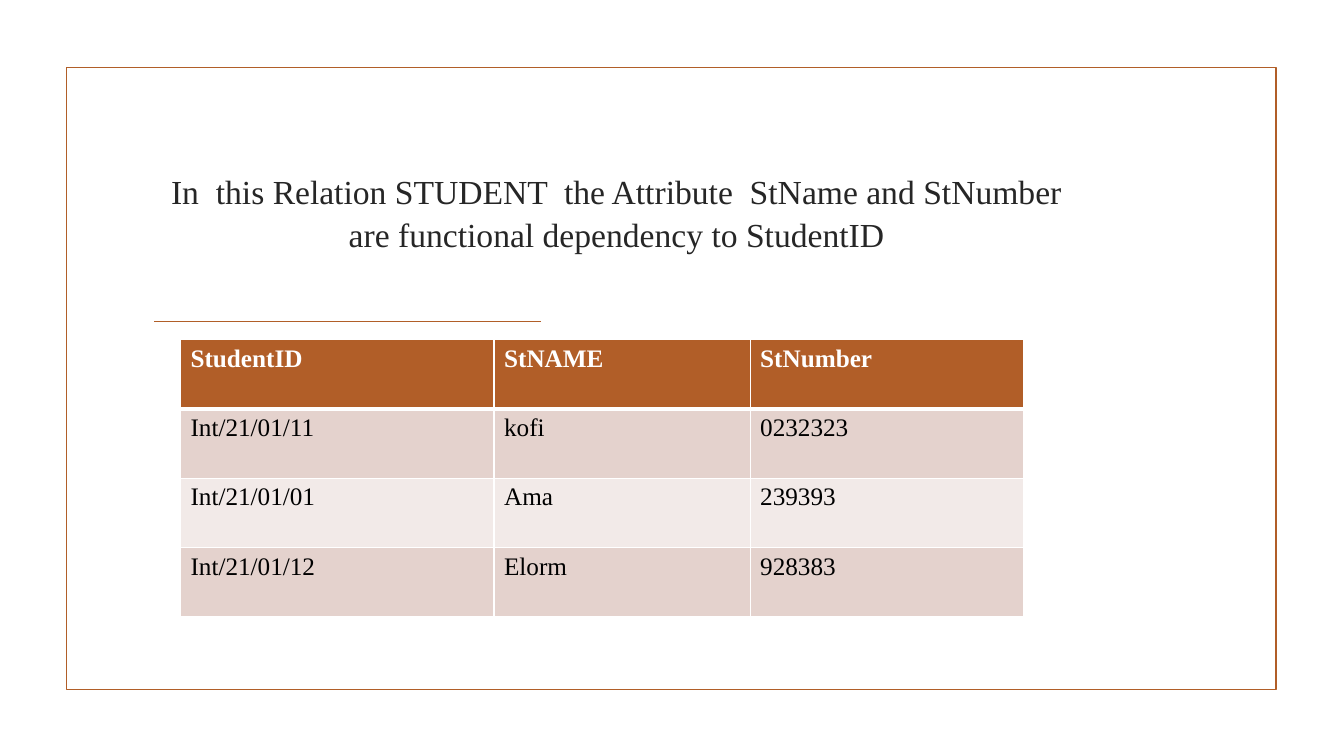
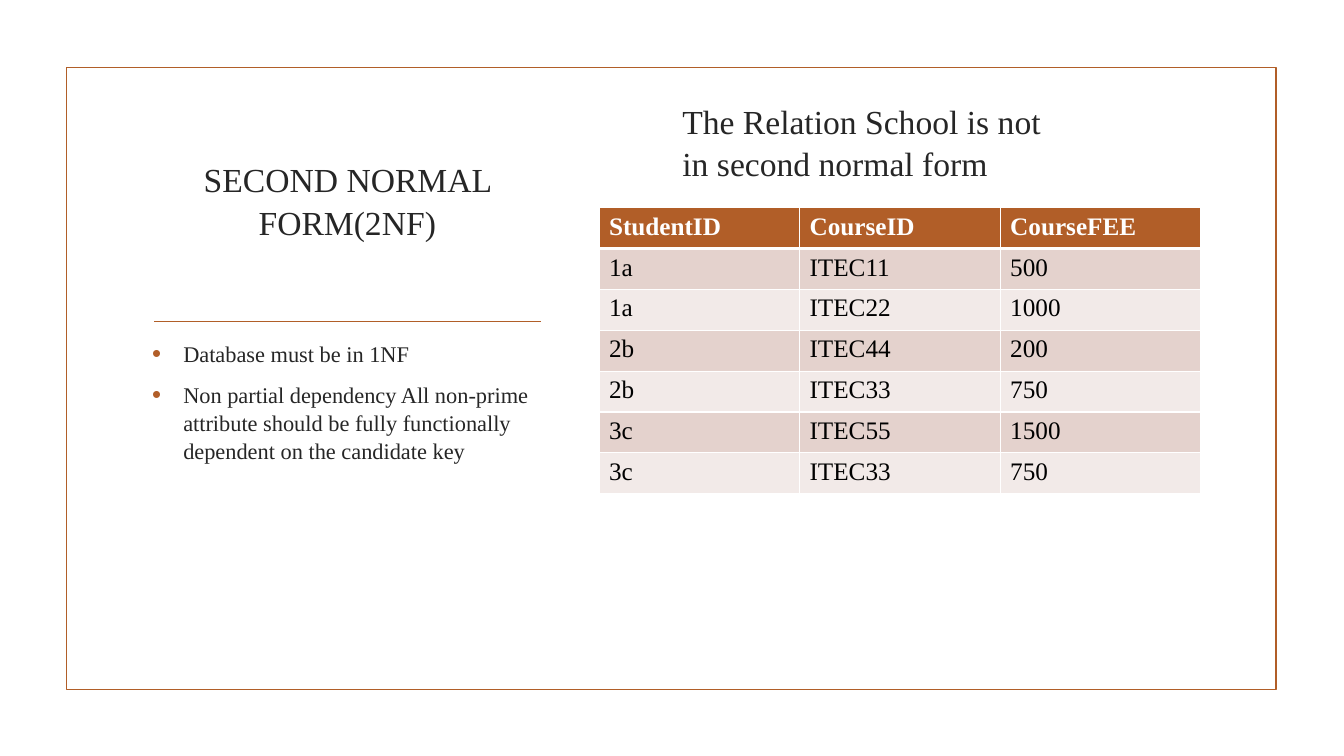
"""Build two slides on relations and the second normal form."""
from lxml.etree import SubElement
from pptx import Presentation
from pptx.dml.color import RGBColor
from pptx.enum.shapes import MSO_CONNECTOR, MSO_SHAPE
from pptx.enum.text import MSO_ANCHOR, MSO_AUTO_SIZE, PP_ALIGN
from pptx.oxml.ns import qn
from pptx.util import Inches, Pt

HUES = {"rust": "B15E28", "ink": "262626", "black": "000000", "white": "FFFFFF",
        "rose": "E4D2CD", "pale": "F2EAE8"}
FACE = "Times New Roman"
HEAD = {"align": PP_ALIGN.CENTER, "line_spacing": 1.05}
ITEM = {"line_spacing": 1.05, "space_after": Pt(6)}
PUPILS = [["StudentID", "StNAME", "StNumber"],
          ["Int/21/01/11", "kofi", "0232323"],
          ["Int/21/01/01", "Ama", "239393"],
          ["Int/21/01/12", "Elorm", "928383"]]
FEES = [["StudentID", "CourseID", "CourseFEE"],
        ["1a", "ITEC11", "500"],
        ["1a", "ITEC22", "1000"],
        ["2b", "ITEC44", "200"],
        ["2b", "ITEC33", "750"],
        ["3c", "ITEC55", "1500"],
        ["3c", "ITEC33", "750"]]
RULES = ["Database must be in 1NF",
         "Non partial dependency All non-prime attribute should be fully "
         "functionally dependent on the candidate key"]


def hue(name):
    return RGBColor.from_string(HUES[name])


def apply(thing, form):
    for key, value in form.items():
        setattr(thing, key, value)


def style(para, size, tint, bold=False):
    apply(para.font, {"name": FACE, "size": Pt(size), "bold": bold})
    para.font.color.rgb = hue(tint)


def paint(part, tag, tint):
    fill = SubElement(part, qn(tag))
    SubElement(fill, qn("a:srgbClr"), val=HUES[tint])


def stroke(shape):
    shape.line.color.rgb = hue("rust")
    shape.line.width = Pt(1.25)


def frame(slide):
    """Draw the border and the rule that all slides share."""
    box = slide.shapes.add_shape(MSO_SHAPE.RECTANGLE, *map(Inches, (0.66, 0.67, 12, 6.17)))
    box.fill.background()
    box.shadow.inherit = False
    stroke(box)
    rule = slide.shapes.add_connector(
        MSO_CONNECTOR.STRAIGHT, *map(Inches, (1.53, 3.19, 5.37, 3.19)))
    SubElement(rule.element.spPr, qn("a:effectLst"))
    stroke(rule)


def setup(frame, anchor, foot=0.05):
    apply(frame, {"word_wrap": True, "auto_size": MSO_AUTO_SIZE.NONE,
                  "vertical_anchor": anchor,
                  "margin_left": Inches(0.1), "margin_right": Inches(0.1),
                  "margin_top": Inches(0.05), "margin_bottom": Inches(foot)})


def heading(shape, text, foot=0.05):
    setup(shape.text_frame, MSO_ANCHOR.BOTTOM, foot)
    para = shape.text_frame.paragraphs[0]
    para.text = text
    apply(para, HEAD)
    style(para, 24, "ink")


def start(deck, text, spot, foot=0.05):
    """Add a framed slide with its title."""
    slide = deck.slides.add_slide(deck.slide_layouts[5])
    frame(slide)
    title = slide.shapes.title
    apply(title, dict(zip(("left", "top", "width", "height"), map(Inches, spot))))
    heading(title, text, foot)
    return slide


def bullet(para):
    props = para._p.get_or_add_pPr()
    props.set("marL", str(Inches(0.31)))
    props.set("indent", str(Inches(-0.31)))
    paint(props, "a:buClr", "rust")
    SubElement(props, qn("a:buSzPct"), val="115000")
    SubElement(props, qn("a:buFont"), typeface="Arial")
    SubElement(props, qn("a:buChar"), char="•")


def points(slide, items, spot):
    body = slide.shapes.add_textbox(*map(Inches, spot)).text_frame
    setup(body, MSO_ANCHOR.TOP)
    for num, text in enumerate(items):
        para = body.add_paragraph() if num else body.paragraphs[0]
        para.text = text
        bullet(para)
        apply(para, ITEM)
        if num:
            para.space_before = Pt(3.2)
        style(para, 16, "ink")


def border(cell, row):
    """Give a cell white edges, heavy below the header row."""
    props = cell._tc.get_or_add_tcPr()
    heavy = {0: "B", 1: "T"}.get(row)
    for side in "LRTB":
        width = Pt(3 if side == heavy else 1)
        paint(SubElement(props, qn(f"a:ln{side}"), w=str(width)), "a:solidFill", "white")


def grid(slide, data, left, top, high, wide):
    """Add a table from rows of text, with wide as its column widths."""
    table = slide.shapes.add_table(
        len(data), len(wide), *map(Inches, (left, top, sum(wide), high))).table
    for col, width in zip(table.columns, wide):
        col.width = Inches(width)
    for row, line in enumerate(data):
        for col, text in enumerate(line):
            cell = table.cell(row, col)
            border(cell, row)
            cell.fill.solid()
            cell.fill.fore_color.rgb = hue(("pale", "rose")[row % 2] if row else "rust")
            cell.text = text
            style(cell.text_frame.paragraphs[0], 18, "black" if row else "white", not row)


def main():
    deck = Presentation()
    apply(deck, {"slide_width": Inches(13.33), "slide_height": Inches(7.5)})

    slide = start(deck, "In  this Relation STUDENT  the Attribute  StName and StNumber "
                  "are functional dependency to StudentID", (1.41, 0.94, 9.41, 2.03), 0.45)
    grid(slide, PUPILS, 1.79, 3.37, 2.75, (3.11, 2.54, 2.71))

    slide = start(deck, "SECOND NORMAL FORM(2NF)", (1.41, 1.29, 4.07, 1.16))
    grid(slide, FEES, 5.94, 2.06, 2.84, (1.99,) * 3)
    points(slide, RULES, (1.41, 3.31, 4.07, 2.67))
    note = slide.shapes.add_textbox(*map(Inches, (6.67, 0.71, 4.07, 1.16)))
    heading(note, "The Relation School is not in second normal form")

    deck.save("out.pptx")


if __name__ == "__main__":
    main()
